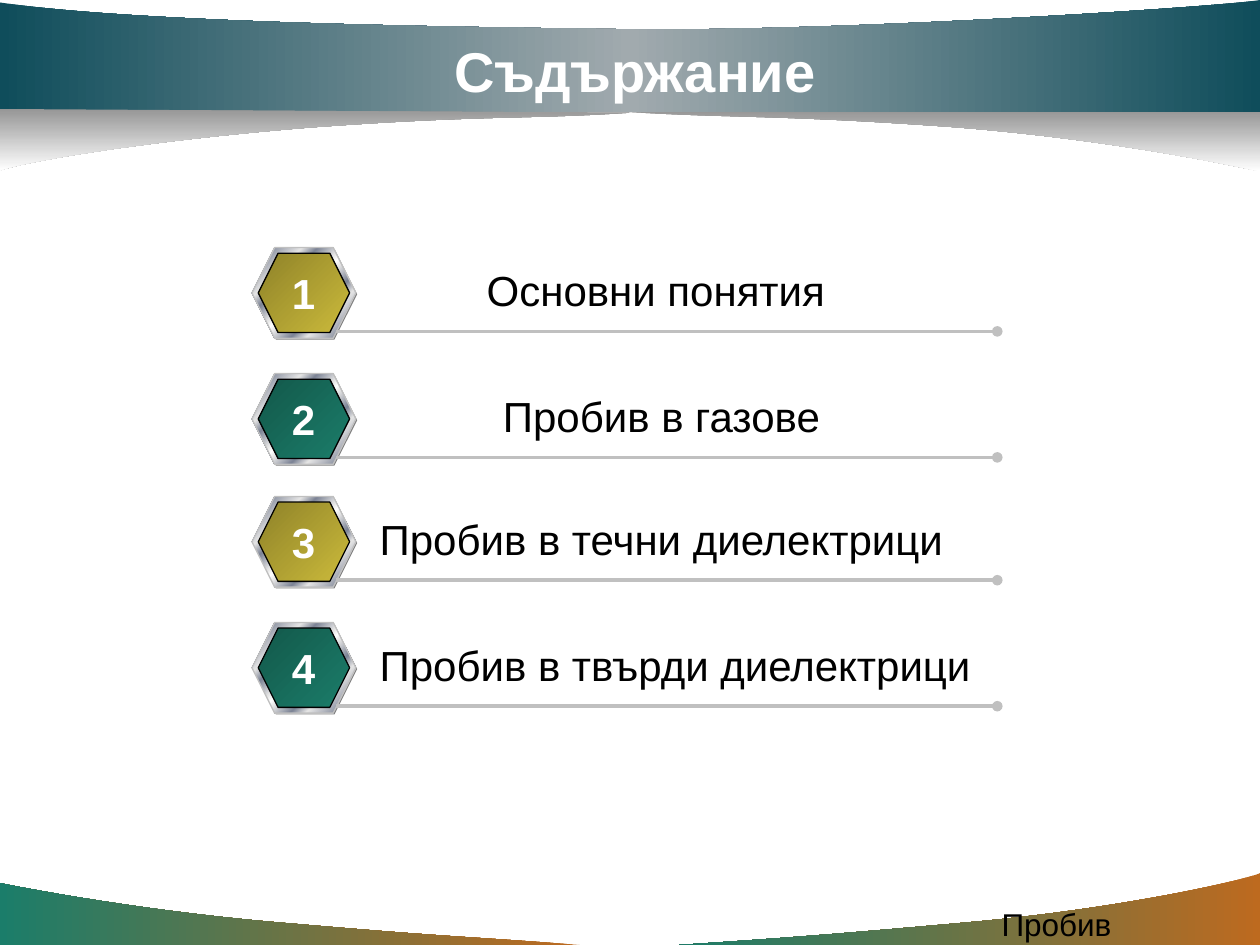
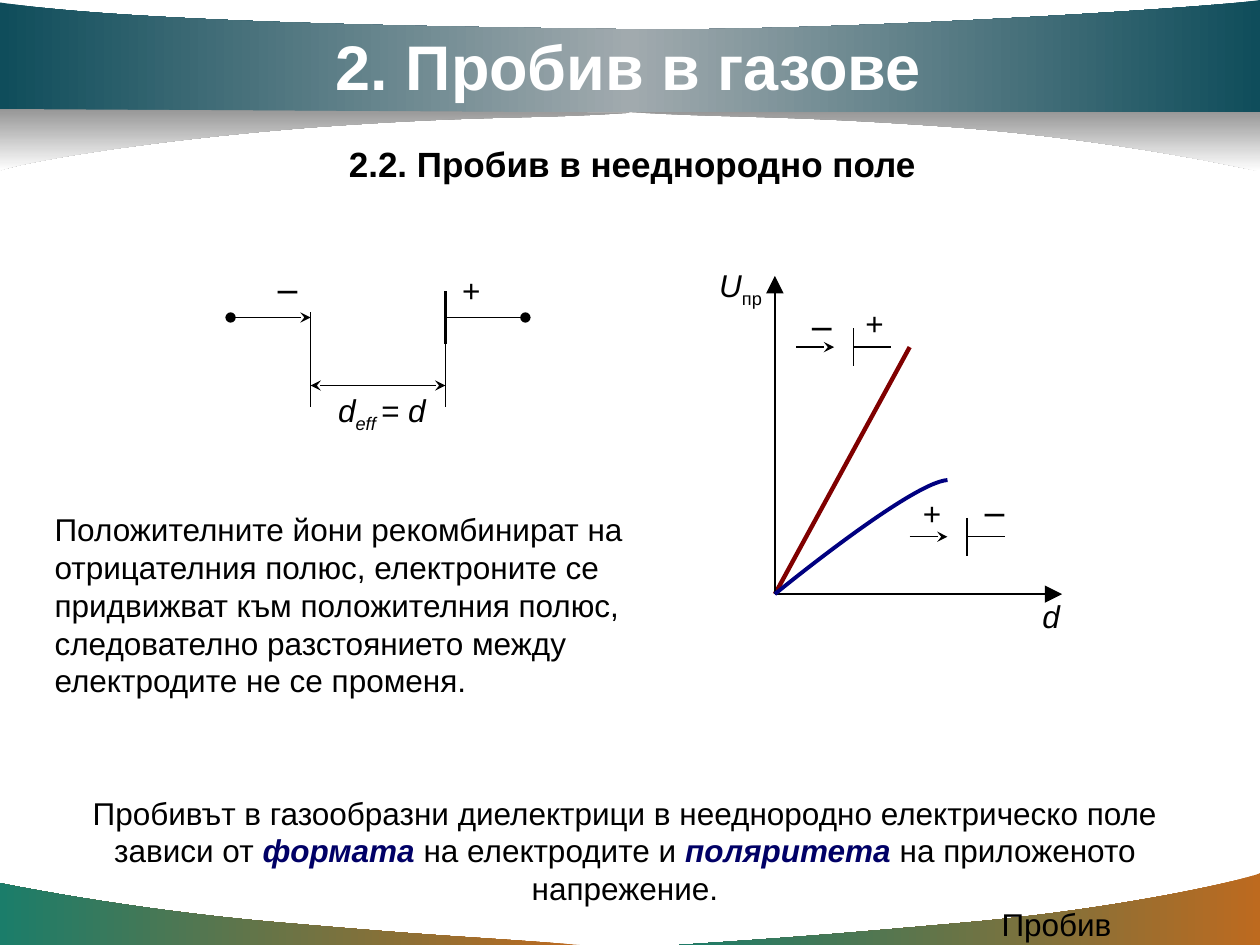
import dataclasses

import lxml.etree
import pptx
import pptx.dml.color
import pptx.enum.shapes
import pptx.enum.text
import pptx.oxml.ns
import pptx.util

qn = pptx.oxml.ns.qn
RGB = pptx.dml.color.RGBColor.from_string
ALIGN = pptx.enum.text.PP_ALIGN
HEXAGON = pptx.enum.shapes.MSO_SHAPE.HEXAGON
STRAIGHT = pptx.enum.shapes.MSO_CONNECTOR.STRAIGHT


@dataclasses.dataclass(frozen=True)
class Theme:
    font: str = "Arial"
    symbol_font: str = "Noto Sans"
    text: str = "000000"
    light: str = "FFFFFF"
    accent: str = "000066"
    rule: str = "C0C0C0"
    shade: str = "808080"
    red: str = "800000"
    blue: str = "000080"
    teal: str = "1B7D6A"
    teal_dark: str = "13584A"
    gold: str = "CBBA3B"
    gold_dark: str = "8F8329"
    orange: str = "BD6A1F"
    petrol: str = "0F4D5B"
    mist: str = "A1AAAE"
    grey: str = "969696"
    silver: str = "E6E6E6"
    steel: str = "7D8496"
    title: int = 32
    section: int = 36
    item: int = 24
    heading: int = 20
    body: int = 18


T = Theme()
prs = pptx.Presentation()
prs.slide_width = pptx.util.Inches(10)
prs.slide_height = pptx.util.Inches(7.5)
COL = prs.slide_width / 100
ROW = prs.slide_height / 75


def add_text(s, box, runs, size=T.body, align=ALIGN.LEFT, color=T.text):
    """Add a text box; run flags: b bold, i italic, a accent, s subscript, m symbol font."""
    x, y, w, h = box
    tb = s.shapes.add_textbox(int(x * COL), int(y * ROW), int(w * COL), int(h * ROW))
    tf = tb.text_frame
    tf.word_wrap = True
    p = tf.paragraphs[0]
    p.alignment = align
    for text, flags in runs:
        r = p.add_run()
        r.text = text
        r.font.name = T.symbol_font if "m" in flags else T.font
        r.font.size = pptx.util.Pt(size)
        r.font.bold = "b" in flags
        r.font.italic = "i" in flags
        r.font.color.rgb = RGB(T.accent if "a" in flags else color)
        if "s" in flags:
            r.font._element.set("baseline", "-25000")
    return tb


def add_outline(s, start, parts, closed=True):
    """Draw an outline; a part is one line end (x, y) or three cubic control points."""
    curves = [len(part) == 3 for part in parts]
    points = [pt for part, curved in zip(parts, curves) for pt in (part if curved else [part])]
    builder = s.shapes.build_freeform(int(start[0] * COL), int(start[1] * ROW))
    builder.add_line_segments([(x * COL, y * ROW) for x, y in points], close=closed)
    sp = builder.convert_to_shape()
    sp.shadow.inherit = False
    segments = iter(sp.element.findall(".//" + qn("a:lnTo")))
    for curved in curves:
        segment = next(segments)
        if curved:
            cubic = lxml.etree.Element(qn("a:cubicBezTo"))
            segment.addprevious(cubic)
            for line_to in (segment, next(segments), next(segments)):
                cubic.append(line_to[0])
                line_to.getparent().remove(line_to)
    return sp


layout = prs.slide_layouts[5]
s1, s2 = prs.slides.add_slide(layout), prs.slides.add_slide(layout)
gradients = []  # shape, stops, clockwise angle

# Bands and footer, shared through the master
footer_stops = ((0, T.orange), (100, T.teal))
shadow_stops = ((0, T.grey), (100, T.light))
header_stops = ((0, T.petrol), (50, T.mist), (100, T.petrol))
bands = [
    ((46, 75), [((38.4, 74.4), (35.8, 74.4), (23.2, 73.3)),
                ((10.6, 72.3), (0.1, 70.1), (0, 70.1)), (0, 75)], footer_stops, 180),
    ((53.9, 75), [((61.4, 74.5), (64.6, 74.3), (76.9, 73.2)),
                  ((89.2, 72.1), (99, 69.8), (100, 69.3)), (100, 75)], footer_stops, 180),
    ((50, 8.9), [((58.4, 9.4), (62, 9.1), (75.8, 10.1)),
                 ((89.7, 11.2), (99.8, 13.6), (100, 13.6)), (100, 8.8)], shadow_stops, 90),
    ((0, 8.9), [(100, 8.9), (100, 0), ((96.4, 0.6), (65.3, 2.6), (48.7, 2.3)),
                ((32.1, 2.1), (10.1, 1.7), (0, 0.2))], header_stops, 180),
    ((50, 8.95), [((41.6, 9.5), (38.8, 9.1), (24.9, 10.1)),
                  ((11, 11.2), (1.1, 13), (0, 13.55)), (0, 8.65)], shadow_stops, 90),
]
shared = []
for start, parts, stops, angle in bands:
    band = add_outline(s1, start, parts)
    band.line.fill.background()
    gradients.append((band, stops, angle))
    shared.append(band)
shared.append(add_text(s1, (78.5, 71.35, 20.8, 2.5), [("Пробив", "")]))
master_tree = prs.slide_master.shapes.element
for i, sp in enumerate(shared):
    sp.element.xpath("./p:nvSpPr/p:cNvPr")[0].set("id", str(100 + i))
    master_tree.insert(2 + i, sp.element)

# Titles
for s, text, size, (x, y, w, h) in (
    (s1, "Съдържание", T.title, (7.5, 2.5, 85.8, 6.2)),
    (s2, "2. Пробив в газове", T.section, (25.6, 1.7, 48.6, 7)),
):
    title = s.shapes.title
    title.left, title.top = int(x * COL), int(y * ROW)
    title.width, title.height = int(w * COL), int(h * ROW)
    tf = title.text_frame
    tf.text = text
    tf.word_wrap = s is s1
    tf.auto_size = pptx.enum.text.MSO_AUTO_SIZE.NONE
    tf.vertical_anchor = pptx.enum.text.MSO_ANCHOR.MIDDLE
    p = tf.paragraphs[0]
    p.alignment = ALIGN.CENTER
    font = p.runs[0].font
    font.name, font.size, font.bold = T.font, pptx.util.Pt(size), True
    font.color.rgb = RGB(T.light)

# Slide 1: numbered contents
metal = [(0, T.silver), (8, T.steel), (26, T.silver), (34, T.steel), (46, T.silver),
         (50, T.light), (54, T.silver), (66, T.steel), (74, T.silver), (92, T.steel),
         (100, T.silver)]
gold = [(0, T.gold), (100, T.gold_dark)]
teal = [(0, T.teal), (100, T.teal_dark)]
contents = [
    ("Основни понятия", 19.65, 45.8, ALIGN.CENTER, gold),
    ("Пробив в газове", 29.65, 46.7, ALIGN.CENTER, teal),
    ("Пробив в течни диелектрици", 39.4, 50.8, ALIGN.LEFT, gold),
    ("Пробив в твърди диелектрици", 49.4, 54.2, ALIGN.LEFT, teal),
]
lines = []  # parent, from, to, colour, width, head, tail
for number, (text, top, width, align, stops) in enumerate(contents, 1):
    badge = s1.shapes.add_group_shape()
    for x, y, w, h, fill, outline in (
        (20.1, top + 0.1, 8.25, 7.2, None, None),
        (20, top, 8.25, 7.2, metal, T.rule),
        (20.5, top + 0.45, 7.25, 6.3, stops, T.text),
    ):
        sp = badge.shapes.add_shape(HEXAGON, int(x * COL), int(y * ROW),
                                    int(w * COL), int(h * ROW))
        sp.shadow.inherit = False
        if fill:
            gradients.append((sp, fill, 225))
            sp.line.color.rgb = RGB(outline)
            sp.line.width = pptx.util.Pt(0.75)
        else:
            sp.fill.solid()
            sp.fill.fore_color.rgb = RGB(T.shade)
            sp.line.fill.background()
    lines.append((s1, (26.65, top + 6.65), (79.15, top + 6.65), T.rule, 2, None, "oval"))
    add_text(s1, (29.15, top + 0.85, width, 5), [(text, "")], T.item, align)
    add_text(s1, (22.15, top + 1.1, 3.9, 5), [(str(number), "b")], T.item,
             ALIGN.CENTER, T.light)

# Slide 2: text
add_text(s2, (26.7, 10.8, 47.1, 4.3), [("2.2. Пробив в нееднородно поле", "b")], T.heading)
add_text(s2, (3.35, 62.5, 92.5, 10), [
    ("Пробивът в газообразни диелектрици в нееднородно електрическо поле зависи от ", ""),
    ("формата ", "bia"), ("на електродите и ", ""), ("поляритета", "bia"),
    (" на приложеното напрежение.", ""),
], align=ALIGN.CENTER)
add_text(s2, (3.35, 40, 52.8, 16), [(
    "Положителните йони рекомбинират на отрицателния полюс, електроните се придвижват "
    "към положителния полюс, следователно разстоянието между електродите не се променя.",
    "")])

# Slide 2: electrode gap, axes and breakdown curves
gap, steep, axes = [s2.shapes.add_group_shape() for _ in range(3)]
needle, plate, wire, span = 24.65, 35.35, 25.2, 30.6
origin = (61.5, 47.15)
for parent, start, end, color, width, head, tail in (
    (gap, (18.3, wire), (needle, wire), T.text, 1, "oval", "stealth"),
    (gap, (plate, wire), (41.7, wire), T.text, 1, None, "oval"),
    (gap, (plate, 23.1), (plate, 27.3), T.text, 1.75, None, None),
    (gap, (needle, 24.8), (needle, 32.3), T.text, 0.75, None, None),
    (gap, (plate, 26.5), (plate, 32.3), T.text, 0.75, None, None),
    (gap, (needle, span), (plate, span), T.text, 0.75, "stealth", "stealth"),
    (steep, origin, (72.2, 27.55), T.red, 2.5, None, None),
    (axes, origin, (84.3, 47.15), T.text, 0.75, None, "triangle"),
    (axes, origin, (61.5, 21.9), T.text, 0.75, None, "triangle"),
):
    lines.append((parent, start, end, color, width, head, tail))

for parent, x, y in ((steep, 63.2, 27.55), (axes, 72.2, 42.6)):
    mini_plate = x + 4.55
    for start, end, tail in (
        ((x, y), (x + 3, y), "stealth"),
        ((mini_plate, y), (mini_plate + 3, y), None),
        ((mini_plate, y - 1.5), (mini_plate, y + 1.5), None),
    ):
        lines.append((parent, start, end, T.text, 0.75, None, tail))

for parent, (x1, y1), (x2, y2), color, width, head, tail in lines:
    c = parent.shapes.add_connector(STRAIGHT, int(x1 * COL), int(y1 * ROW),
                                    int(x2 * COL), int(y2 * ROW))
    c.line.color.rgb = RGB(color)
    c.line.width = pptx.util.Pt(width)
    ln = c.element.spPr.find(qn("a:ln"))
    for tag, kind in (("a:headEnd", head), ("a:tailEnd", tail)):
        if kind:
            size = "lg" if kind == "triangle" else "med"
            lxml.etree.SubElement(ln, qn(tag), type=kind, w=size, len=size)
    lxml.etree.SubElement(c.element.spPr, qn("a:effectLst"))

curve = add_outline(axes, origin, [(origin, (72.3, 38.3), (75.2, 38.1))], closed=False)
curve.fill.background()
curve.line.color.rgb = RGB(T.blue)
curve.line.width = pptx.util.Pt(2.25)

for parent, x, y, w, runs in (
    (gap, 20.8, 21, 3.4, [("−", "m")]),
    (gap, 35.7, 21, 3.5, [("+", "")]),
    (gap, 25.85, 30.55, 9.3, [("d", "i"), ("eff ", "is"), ("= d", "i")]),
    (steep, 63.2, 23.95, 3.4, [("−", "m")]),
    (steep, 67.7, 23.65, 3.5, [("+", "")]),
    (axes, 81.75, 46.9, 3.4, [("d", "i")]),
    (axes, 56.1, 20.6, 5.7, [("U", "i"), ("пр", "s")]),
    (axes, 72.25, 38.7, 3.5, [("+", "")]),
    (axes, 76.9, 38.7, 3.4, [("−", "m")]),
):
    add_text(parent, (x, y, w, 4), runs)

for sp, stops, angle in gradients:
    sp.fill.gradient()
    sp.fill.gradient_angle = -angle % 360
    stop_list = sp.element.spPr.find(qn("a:gradFill")).find(qn("a:gsLst"))
    for old in list(stop_list):
        stop_list.remove(old)
    for share, color in stops:
        stop = lxml.etree.SubElement(stop_list, qn("a:gs"), pos=str(share * 1000))
        lxml.etree.SubElement(stop, qn("a:srgbClr"), val=color)

prs.save("out.pptx")
